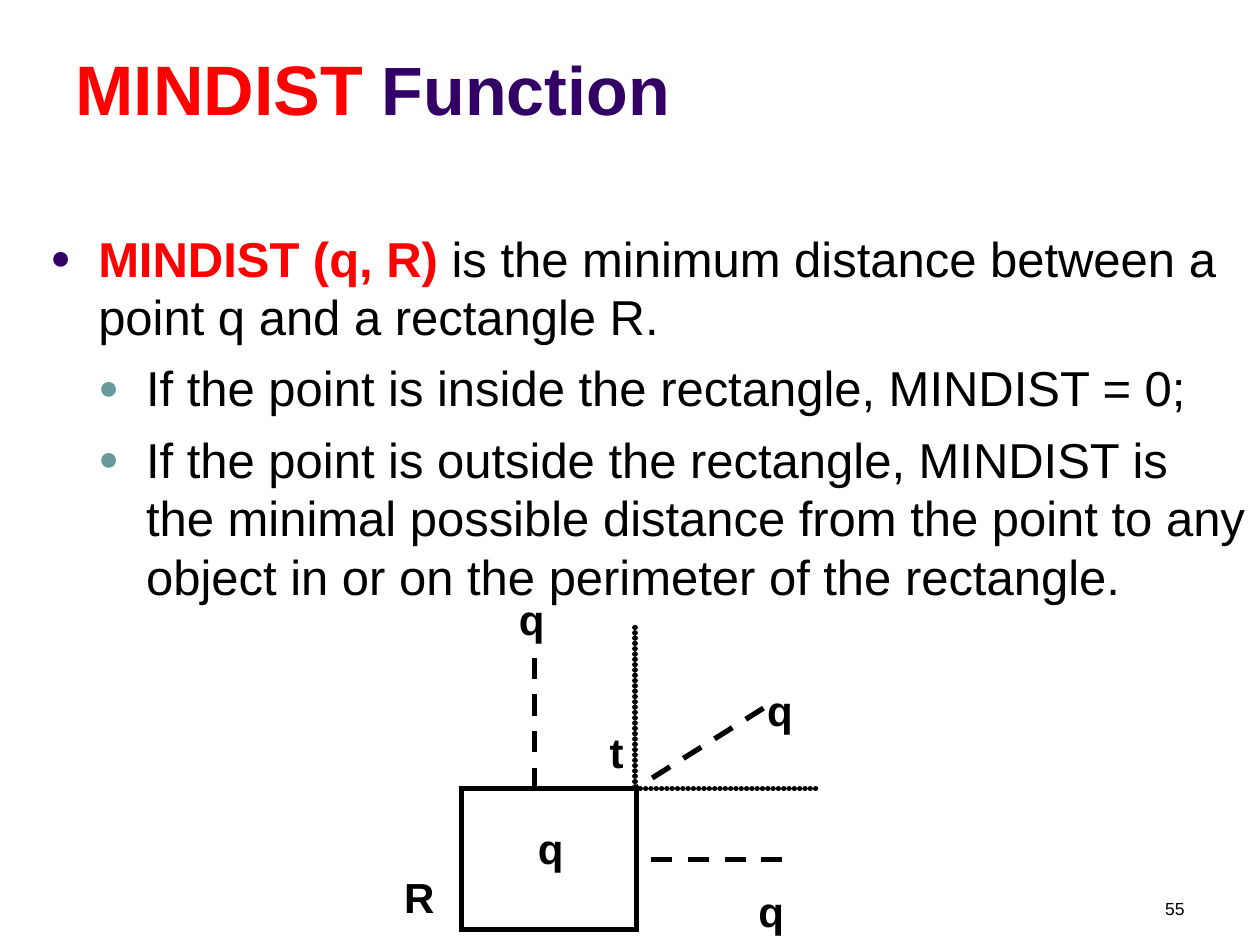
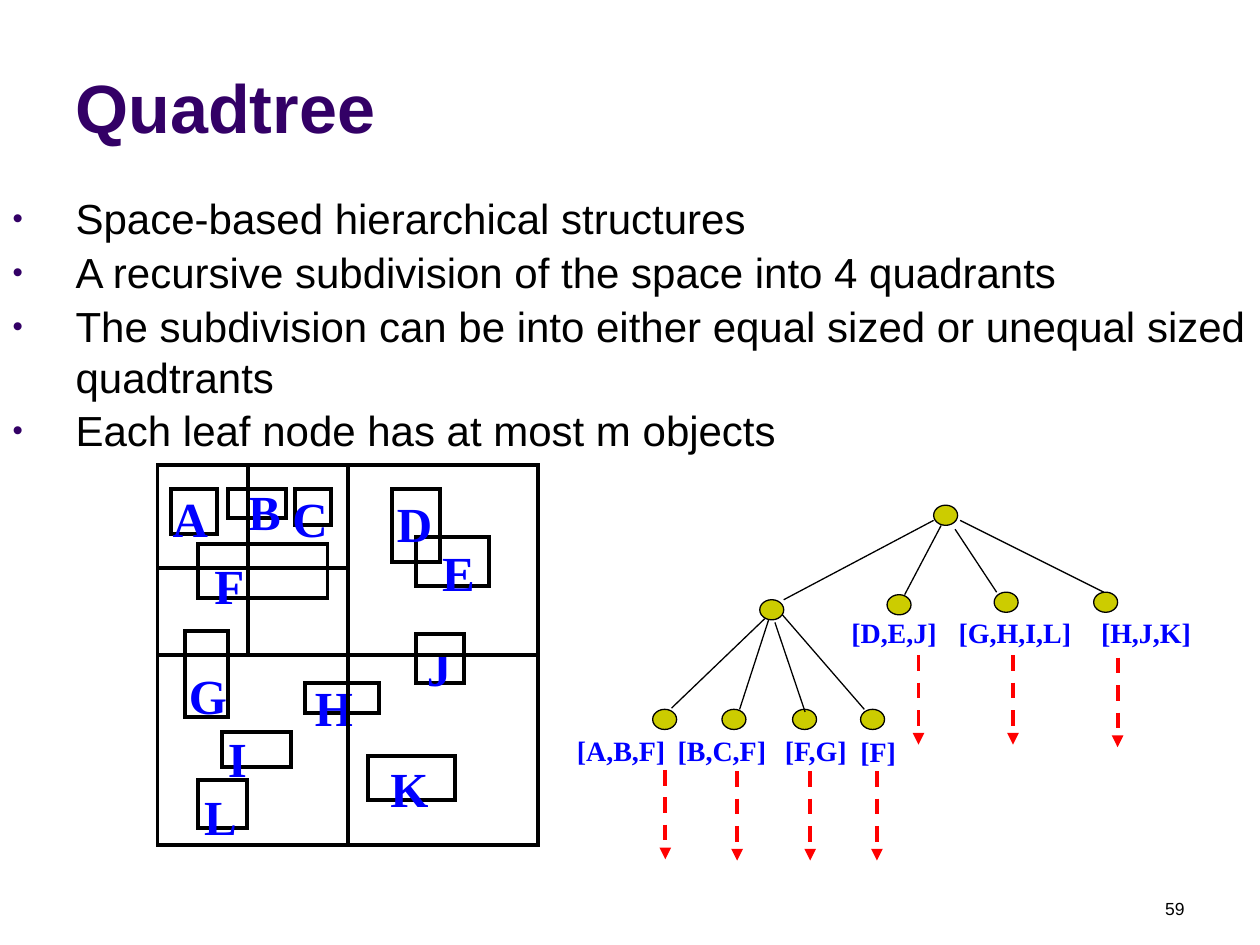
from lxml import etree
from pptx import Presentation
from pptx.dml.color import RGBColor as RGB
from pptx.enum.dml import MSO_LINE as Dash
from pptx.enum.shapes import MSO_CONNECTOR as Conn, MSO_SHAPE as Shape
from pptx.enum.text import MSO_ANCHOR as Anchor, MSO_AUTO_SIZE as Fit, PP_ALIGN as Align
from pptx.oxml.ns import qn
from pptx.util import Inches, Pt

BLACK = RGB(0, 0, 0)
RED = RGB(0xFF, 0, 0)
BLUE = RGB(0, 0, 0xFF)
PURPLE = RGB(0x33, 0, 0x66)
TEAL = RGB(0x66, 0x99, 0x99)
OLIVE = RGB(0xCC, 0xCC, 0)
SANS, SERIF = "Arial", "Times New Roman"

# Text, left, top and width of the labels around rectangle R
MARKS = [("R", 3.11, 6.87, 0.8), ("t", 4.74, 5.72, 0.36),
         ("q", 4.02, 4.66, 0.58), ("q", 5.99, 5.38, 0.44),
         ("q", 5.92, 6.98, 0.51), ("q", 4.17, 6.48, 0.44)]

# Object: its box, then left, top and width of its letter
ITEMS = {
    "A": ((1.36, 3.88, 0.36, 0.36), (1.27, 3.83, 0.48)),
    "B": ((1.81, 3.88, 0.46, 0.23), (1.87, 3.77, 0.46)),
    "C": ((2.34, 3.88, 0.29, 0.29), (2.22, 3.83, 0.48)),
    "D": ((3.11, 3.88, 0.38, 0.58), (3.05, 3.87, 0.48)),
    "E": ((3.3, 4.26, 0.58, 0.39), (3.41, 4.26, 0.46)),
    "F": ((1.57, 4.32, 1.03, 0.43), (1.6, 4.36, 0.44)),
    "G": ((1.47, 5.01, 0.34, 0.68), (1.4, 5.23, 0.5)),
    "H": ((2.42, 5.42, 0.59, 0.24), (2.4, 5.33, 0.5)),
    "I": ((1.76, 5.81, 0.55, 0.28), (1.71, 5.73, 0.35)),
    "J": ((3.3, 5.03, 0.38, 0.39), (3.29, 5.01, 0.39)),
    "K": ((2.92, 6, 0.69, 0.35), (3, 5.97, 0.5)),
    "L": ((1.57, 6.19, 0.39, 0.38), (1.52, 6.19, 0.46)),
}

NODES = [(7.41, 4.01), (6.03, 4.76), (7.04, 4.72), (7.89, 4.7), (8.68, 4.7),
         (5.18, 5.63), (5.73, 5.63), (6.29, 5.63), (6.83, 5.63)]
EDGES = [((6.22, 4.76), (7.41, 4.13)), ((7.18, 4.72), (7.47, 4.17)),
         ((7.91, 4.7), (7.58, 4.2)), ((8.76, 4.7), (7.62, 4.13)),
         ((5.33, 5.62), (6.07, 4.91)), ((5.87, 5.63), (6.1, 4.92)),
         ((6.39, 5.65), (6.15, 4.94)), ((6.86, 5.63), (6.21, 4.88))]

# Text, left, top and width of each leaf, then the start of its arrow
LEAVES = [("[A,B,F]", 4.48, 5.77, 0.9, (5.28, 6.11)),
          ("[B,C,F]", 5.28, 5.77, 0.9, (5.85, 6.12)),
          ("[F,G]", 6.12, 5.77, 0.71, (6.43, 6.12)),
          ("[F]", 6.73, 5.78, 0.48, (6.96, 6.12)),
          ("[D,E,J]", 6.64, 4.84, 0.91, (7.29, 5.2)),
          ("[G,H,I,L]", 7.51, 4.84, 1.09, (8.04, 5.2)),
          ("[H,J,K]", 8.62, 4.84, 0.95, (8.87, 5.22))]


def place(shape, x, y, w, h):
    shape.left, shape.top = Inches(x), Inches(y)
    shape.width, shape.height = Inches(w), Inches(h)


def style(run, size, color=BLACK, bold=False, face=SANS):
    font = run.font
    font.name, font.size, font.bold = face, Pt(size), bold
    font.color.rgb = color


def title(slide, box, *parts):
    """Fill the title with parts of (text, size, color)."""
    shape = slide.shapes.title
    place(shape, *box)
    frame = shape.text_frame
    frame.auto_size = Fit.NONE
    frame.vertical_anchor = Anchor.BOTTOM
    para = frame.paragraphs[0]
    para.alignment = Align.LEFT
    for text, size, color in parts:
        run = para.add_run()
        run.text = text
        style(run, size, color, True)


def bullet(para, char, color, left, hang):
    props = para._p.get_or_add_pPr()
    props.set("marL", str(Inches(left)))
    props.set("indent", str(-Inches(hang)))
    tint = etree.SubElement(props, qn("a:buClr"))
    etree.SubElement(tint, qn("a:srgbClr"), val=str(color))
    etree.SubElement(props, qn("a:buSzPct"), val="70000")
    etree.SubElement(props, qn("a:buFont"), typeface=SANS)
    etree.SubElement(props, qn("a:buChar"), char=char)


def body(slide, box, items, size, char, hang, before=0, after=0):
    """Fill the list with items of (level, text, lead); lead is red and bold."""
    shape = slide.placeholders[1]
    place(shape, *box)
    frame = shape.text_frame
    frame.auto_size = Fit.NONE
    for i, (level, text, lead) in enumerate(items):
        para = frame.add_paragraph() if i else frame.paragraphs[0]
        para.level = level
        para.space_before, para.space_after = Pt(before), Pt(after)
        bullet(para, char, TEAL if level else PURPLE, hang * (level + 1), hang)
        if lead:
            run = para.add_run()
            run.text = lead
            style(run, size, RED, True)
        run = para.add_run()
        run.text = text
        style(run, size)


def label(slide, text, x, y, w, h, size, color=BLACK, bold=True, face=SANS,
          align=Align.LEFT, wrap=True, before=0):
    frame = slide.shapes.add_textbox(*map(Inches, (x, y, w, h))).text_frame
    frame.word_wrap = wrap
    frame.auto_size = Fit.NONE if wrap else Fit.SHAPE_TO_FIT_TEXT
    para = frame.paragraphs[0]
    para.text = text
    para.alignment = align
    para.space_before = Pt(before)
    style(para.runs[0], size, color, bold, face)


def tag(slide, text, x, y, w, h, size):
    label(slide, text, x, y, w, h, size, BLUE, face=SERIF,
          align=Align.CENTER, wrap=False)


def number(slide, text):
    label(slide, text, 7.17, 7.08, 2.33, 0.25, 10, bold=False, align=Align.RIGHT)


def draw(slide, kind, box, weight, fill=None):
    shape = slide.shapes.add_shape(kind, *map(Inches, box))
    shape.shadow.inherit = False
    if fill is None:
        shape.fill.background()
    else:
        shape.fill.solid()
        shape.fill.fore_color.rgb = fill
    shape.line.color.rgb = BLACK
    shape.line.width = Pt(weight)
    etree.SubElement(shape.line._get_or_add_ln(), qn("a:miter"), lim="800000")
    return shape


def line(slide, start, end, weight, color=BLACK, dash=None):
    link = slide.shapes.add_connector(Conn.STRAIGHT, *map(Inches, start + end))
    link.line.color.rgb = color
    link.line.width = Pt(weight)
    if dash:
        link.line.dash_style = dash
    etree.SubElement(link._element.spPr, qn("a:effectLst"))
    return link


def arrow(slide, start):
    x, y = start
    link = line(slide, start, (x, y + 0.71), 2.25, RED, Dash.DASH)
    etree.SubElement(link.line._get_or_add_ln(), qn("a:tailEnd"), type="triangle")


def dots(slide, start, end):
    """Draw a line of round dots that nearly touch."""
    stroke = line(slide, start, end, 3).line._get_or_add_ln()
    stroke.set("cap", "rnd")
    dash = etree.SubElement(stroke, qn("a:custDash"))
    etree.SubElement(dash, qn("a:ds"), d="100000", sp="1000")


def mindist(slide):
    title(slide, (0.5, 0.13, 9, 0.95),
          ("MINDIST", 40, RED), (" Function", 39, PURPLE))
    body(slide, (0.3, 1.76, 9.7, 3.15), [
        (0, " is the minimum distance between a point q and a rectangle R.",
         "MINDIST (q, R)"),
        (1, "If the point is inside the rectangle, MINDIST = 0;", ""),
        (1, "If the point is outside the rectangle, MINDIST is the minimal "
            "possible distance from the point to any object in or on the "
            "perimeter of the rectangle.", ""),
    ], 28, "●", 0.38, before=7)
    draw(slide, Shape.RECTANGLE, (3.66, 6.26, 1.39, 1.12), 3)
    corner = (5.04, 6.26)
    for start, end in [((6.06, 5.62), corner), ((6.21, 6.82), (5.04, 6.82)),
                       ((4.24, 5.22), (4.24, 6.26))]:
        line(slide, start, end, 3, dash=Dash.DASH)
    dots(slide, (5.04, 4.98), corner)
    dots(slide, corner, (6.5, 6.26))
    for text, x, y, w in MARKS:
        label(slide, text, x, y, w, 0.5, 24, before=15)
    number(slide, "55")


def space(slide):
    """Draw the divided square with its objects."""
    square = draw(slide, Shape.RECTANGLE, (1.25, 3.69, 3.02, 3.02), 2.25)
    for box, _ in ITEMS.values():
        draw(slide, Shape.RECTANGLE, box, 2.25)
    for text, (_, spot) in ITEMS.items():
        tag(slide, text, *spot, 0.57, 28)
    for start, end, sides in [((1.25, 5.2), (4.27, 5.2), (1, 3)),
                              ((2.76, 3.69), (2.76, 6.71), (0, 2))]:
        split = line(slide, start, end, 2)
        split.begin_connect(square, sides[0])
        split.end_connect(square, sides[1])
    line(slide, (1.25, 4.51), (2.76, 4.51), 2)
    line(slide, (1.97, 3.69), (1.97, 5.19), 2)


def tree(slide):
    for spot in NODES:
        draw(slide, Shape.OVAL, spot + (0.19, 0.16), 0.75, OLIVE)
    for start, end in EDGES:
        line(slide, start, end, 0.75)
    for text, x, y, w, start in LEAVES:
        arrow(slide, start)
        tag(slide, text, x, y, w, 0.37, 16)


def quadtree(slide):
    title(slide, (0.5, 0.13, 8.25, 1.09), ("Quadtree", 39, PURPLE))
    points = ["Space-based hierarchical structures",
              "A recursive subdivision of the space into 4 quadrants",
              "The subdivision can be into either equal sized or unequal "
              "sized quadtrants",
              "Each leaf node has at most m objects"]
    body(slide, (0, 1.48, 10, 5.4), [(0, text, "") for text in points],
         24, "•", 0.5, after=2)
    number(slide, "59")
    space(slide)
    tree(slide)


def main():
    deck = Presentation()
    deck.slide_width, deck.slide_height = Inches(10), Inches(7.5)
    for build in (mindist, quadtree):
        build(deck.slides.add_slide(deck.slide_layouts[1]))
    deck.save("out.pptx")


if __name__ == "__main__":
    main()
